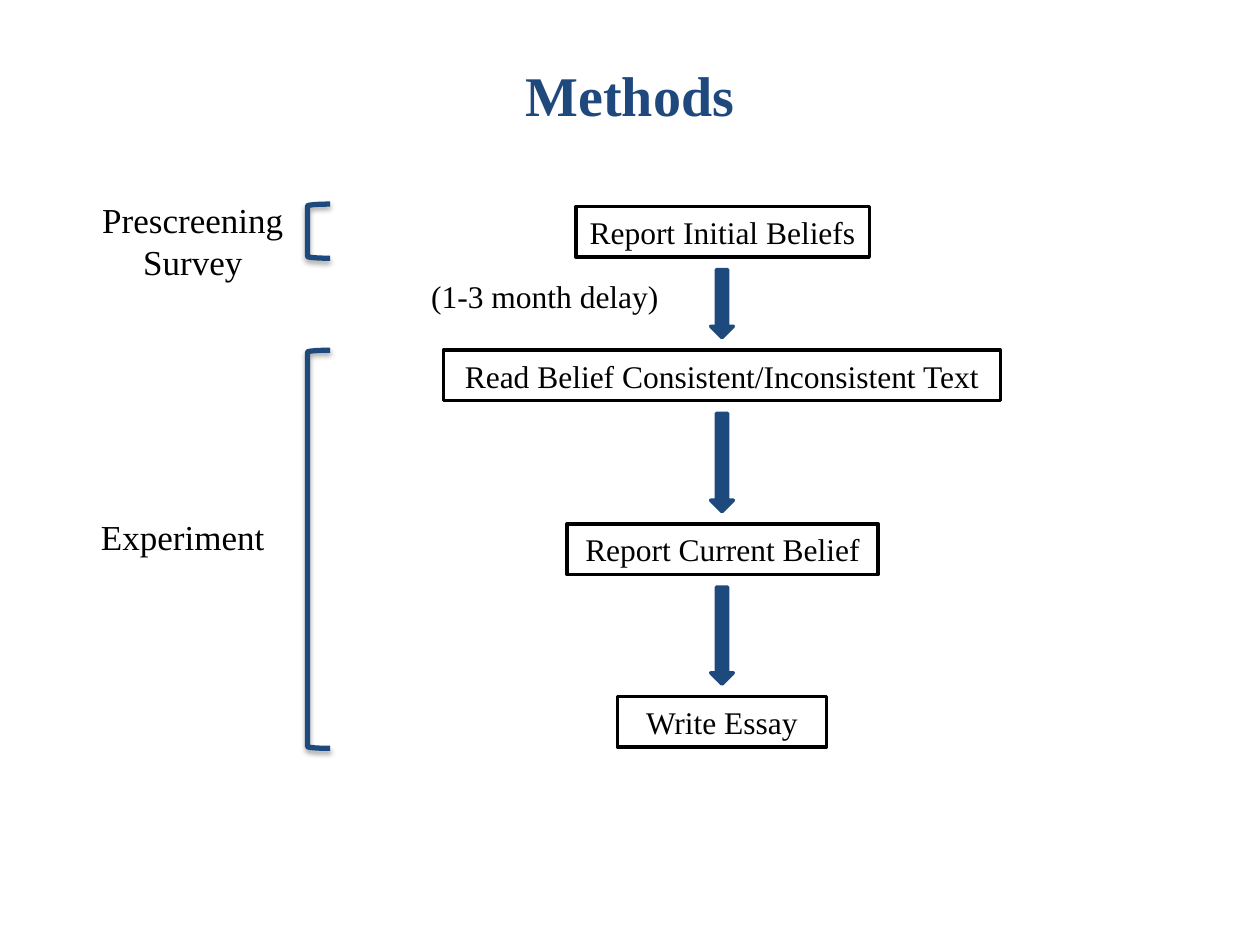
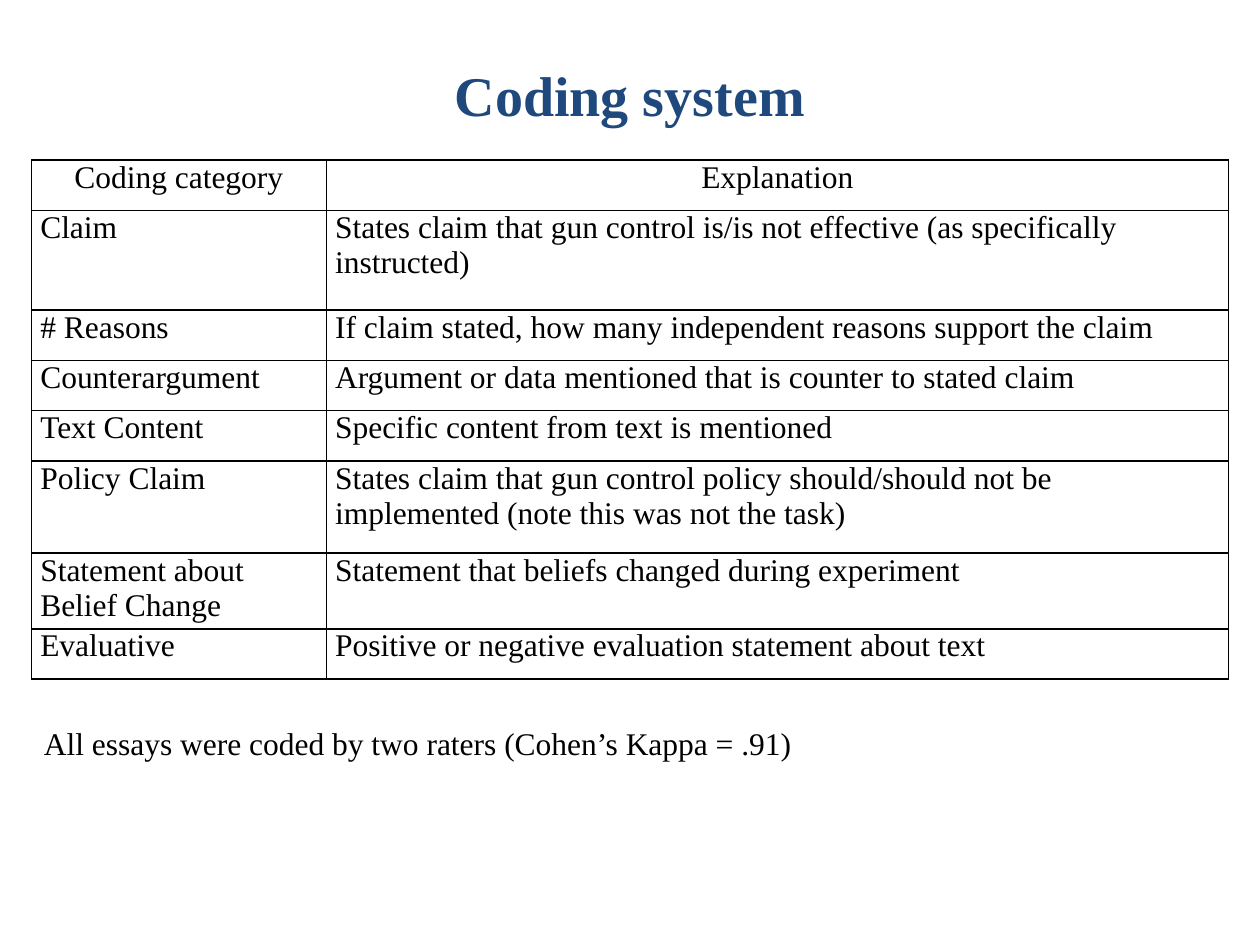
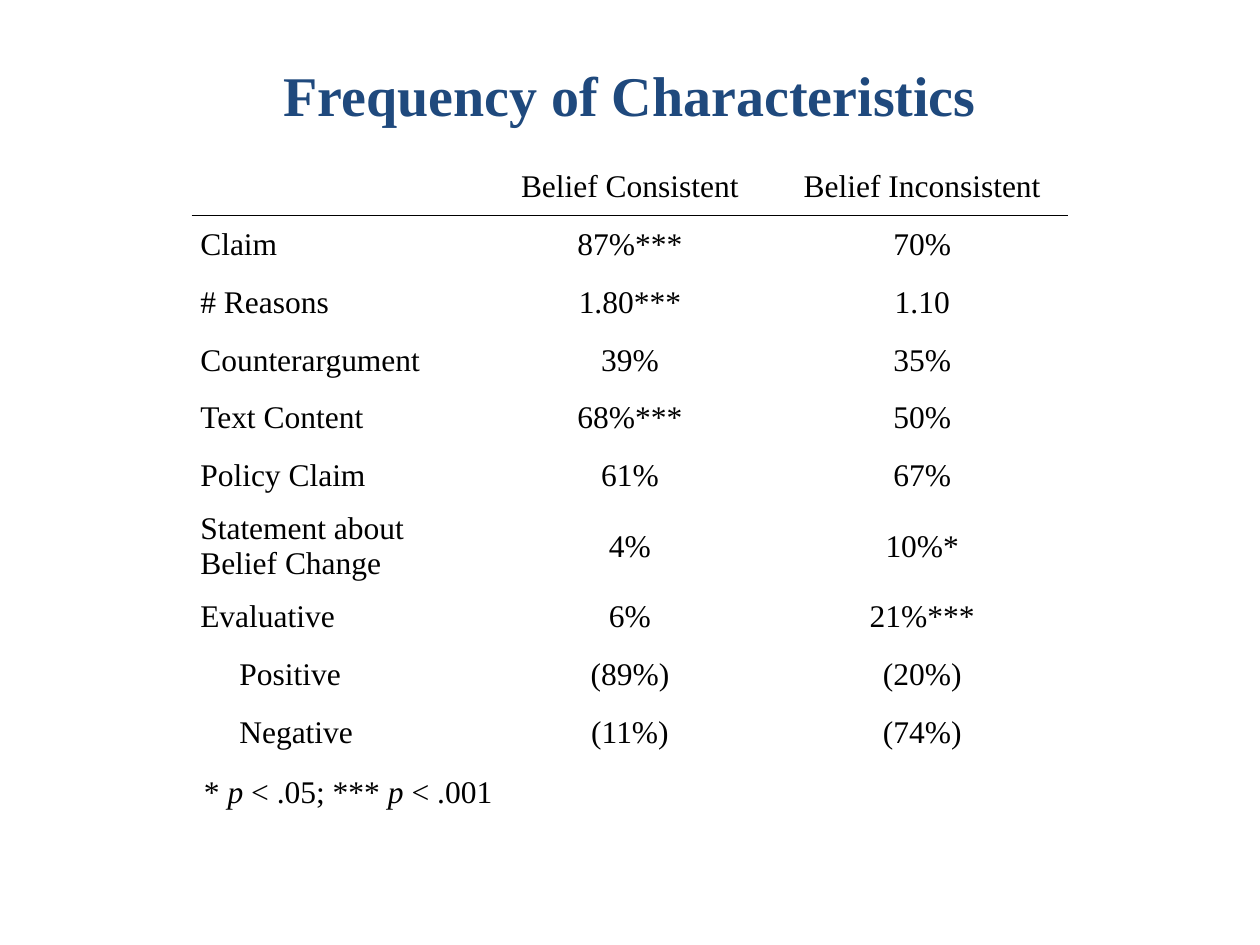
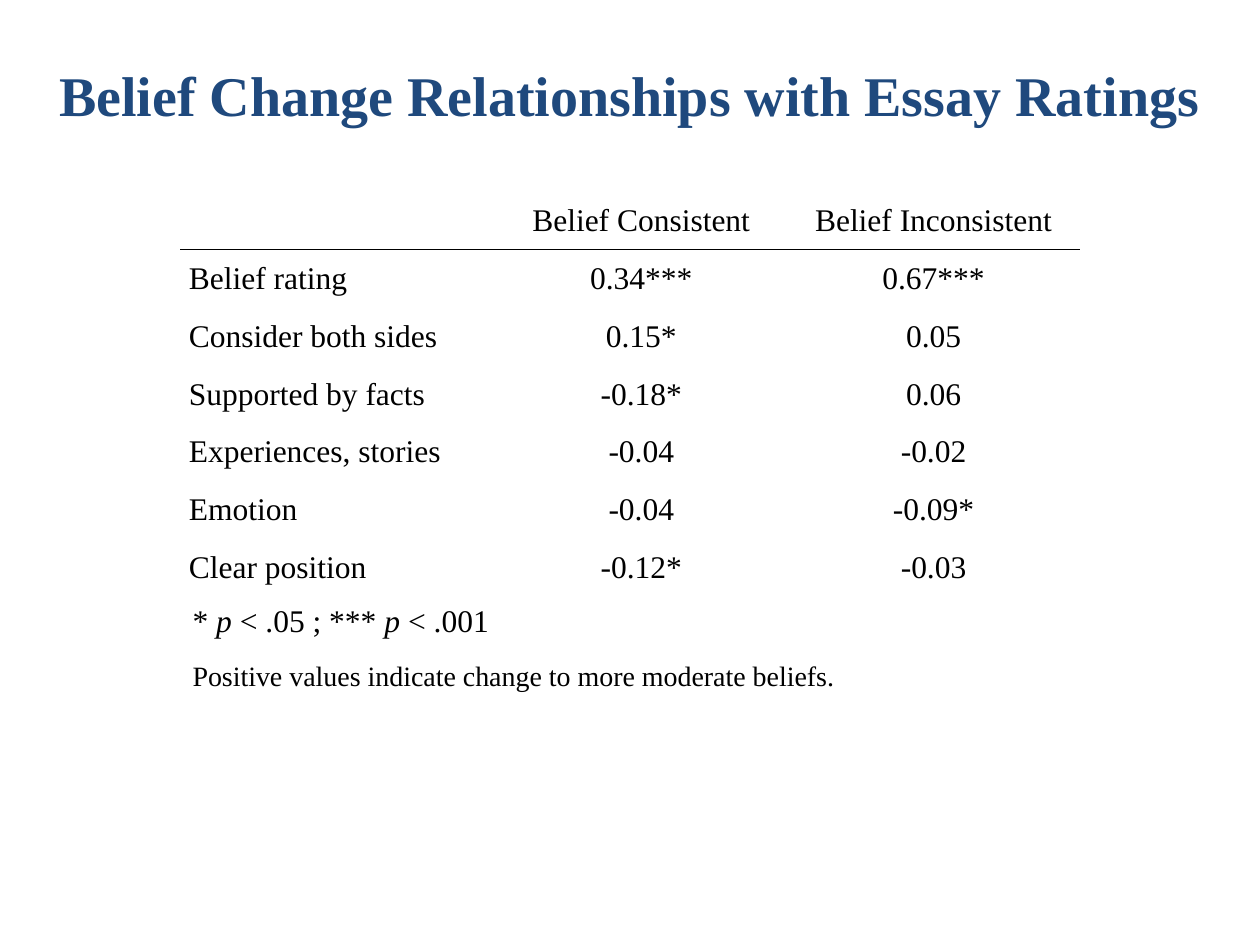
from dataclasses import dataclass

import lxml.etree
import pptx
import pptx.dml.color
import pptx.enum.shapes
import pptx.enum.text
import pptx.oxml
import pptx.oxml.ns
import pptx.presentation
import pptx.shapes.autoshape
import pptx.slide
import pptx.table
import pptx.text.text
import pptx.util

# Shared style
EMU_PER_PX = 9144  # 100 px to the inch
FONT = "Times New Roman"
TITLE_BLUE = pptx.dml.color.RGBColor(0x1F, 0x49, 0x7D)
SHAPE_BLUE = pptx.dml.color.RGBColor(0x1E, 0x49, 0x7D)
BLACK = pptx.dml.color.RGBColor(0, 0, 0)
NO_STYLE_TABLE = "{2D5ABB26-0587-4C30-8999-92F81FD0307C}"
TITLE_ONLY = 5
ALIGN = pptx.enum.text.PP_ALIGN
ANCHOR = pptx.enum.text.MSO_ANCHOR
AUTO_SIZE = pptx.enum.text.MSO_AUTO_SIZE
SHAPE = pptx.enum.shapes.MSO_SHAPE


def px(length: int) -> pptx.util.Emu:
    return pptx.util.Emu(length * EMU_PER_PX)


@dataclass(frozen=True)
class Box:
    left: int
    top: int
    width: int
    height: int

    def emu(self) -> tuple:
        return px(self.left), px(self.top), px(self.width), px(self.height)


@dataclass(frozen=True)
class Label:
    text: str
    box: Box
    size: int = 18
    align: ALIGN = ALIGN.LEFT
    wrap: bool = True
    space_before: float = 0


@dataclass(frozen=True)
class Step:
    text: str
    top: int
    width: int


@dataclass(frozen=True)
class TableLayout:
    left: int
    top: int
    columns: list[int]
    rows: list[int]


# Methods flow chart
TITLE_BOX = Box(25, 25, 950, 100)
FLOW_CENTER = 573
STEP_HEIGHT = 40
ARROW_WIDTH = 18
ARROW_GAP = 10
STEPS = [
    Step("Report Initial Beliefs", 164, 233),
    Step("Read Belief Consistent/Inconsistent Text", 278, 442),
    Step("Report Current Belief", 416, 247),
    Step("Write Essay", 553, 166),
]
PHASES = [
    Label("Prescreening Survey", Box(62, 153, 182, 77), 20, ALIGN.CENTER),
    Label("Experiment", Box(54, 404, 182, 44), 20, ALIGN.CENTER),
    Label("(1-3 month delay)", Box(304, 215, 257, 40), 18, ALIGN.CENTER),
]
BRACKETS = [Box(244, 162, 18, 43), Box(244, 278, 18, 316)]

# Table contents
CODING = [
    ("Coding category", "Explanation"),
    ("Claim", "States claim that gun control is/is not effective (as specifically instructed)"),
    ("# Reasons", "If claim stated, how many independent reasons support the claim"),
    ("Counterargument", "Argument or data mentioned that is counter to stated claim"),
    ("Text Content", "Specific content from text is mentioned"),
    ("Policy Claim", "States claim that gun control policy should/should not be "
                     "implemented (note this was not the task)"),
    ("Statement about Belief Change", "Statement that beliefs changed during experiment"),
    ("Evaluative", "Positive or negative evaluation statement about text"),
]
CONDITIONS = ("", "Belief Consistent", "Belief Inconsistent")
FREQUENCIES = [
    CONDITIONS,
    ("Claim", "87%***", "70%"),
    ("# Reasons", "1.80***", "1.10"),
    ("Counterargument", "39%", "35%"),
    ("Text Content", "68%***", "50%"),
    ("Policy Claim", "61%", "67%"),
    ("Statement about Belief Change", "4%", "10%*"),
    ("Evaluative", "6%", "21%***"),
    ("Positive", "(89%)", "(20%)"),
    ("Negative", "(11%)", "(74%)"),
]
SUBCATEGORIES = ("Positive", "Negative")
RELATIONSHIPS = [
    CONDITIONS,
    ("Belief rating", "0.34***", "0.67***"),
    ("Consider both sides", "0.15*", "0.05"),
    ("Supported by facts", "-0.18*", "0.06"),
    ("Experiences, stories", "-0.04", "-0.02"),
    ("Emotion", "-0.04", "-0.09*"),
    ("Clear position", "-0.12*", "-0.03"),
]
CELL_MARGIN = 7
SUBCATEGORY_INDENT = 31
RESULT_ROW = 46


# Text
def format_paragraph(paragraph: pptx.text.text._Paragraph, size: int, align: ALIGN,
                     color: pptx.dml.color.RGBColor = BLACK, bold: bool = False) -> None:
    paragraph.alignment = align
    for run in paragraph.runs:
        run.font.name = FONT
        run.font.size = pptx.util.Pt(size)
        run.font.bold = bold
        run.font.color.rgb = color


def add_titled_slide(presentation: pptx.presentation.Presentation, title: str) -> pptx.slide.Slide:
    slide = presentation.slides.add_slide(presentation.slide_layouts[TITLE_ONLY])
    shape = slide.shapes.title
    shape.left, shape.top, shape.width, shape.height = TITLE_BOX.emu()
    text_frame = shape.text_frame
    text_frame.text = title
    text_frame.auto_size = AUTO_SIZE.NONE
    text_frame.vertical_anchor = ANCHOR.MIDDLE
    format_paragraph(text_frame.paragraphs[0], 32, ALIGN.CENTER, TITLE_BLUE, bold=True)
    return slide


def add_label(slide: pptx.slide.Slide, label: Label) -> pptx.text.text._Paragraph:
    text_frame = slide.shapes.add_textbox(*label.box.emu()).text_frame
    text_frame.text = label.text
    text_frame.word_wrap = label.wrap
    text_frame.auto_size = AUTO_SIZE.SHAPE_TO_FIT_TEXT
    paragraph = text_frame.paragraphs[0]
    if label.space_before:
        paragraph.space_before = pptx.util.Pt(label.space_before)
    format_paragraph(paragraph, label.size, label.align)
    return paragraph


def add_significance_note(slide: pptx.slide.Slide, pieces: list[str], box: Box) -> None:
    """Write the pieces in one line, with the statistic p in italics."""
    paragraph = add_label(slide, Label("", box, wrap=False))
    for piece in pieces:
        run = paragraph.add_run()
        run.text = piece
        run.font.italic = piece == "p"
    format_paragraph(paragraph, 18, ALIGN.LEFT)


# Shapes
def add_outlined_shape(slide: pptx.slide.Slide, kind: SHAPE, box: Box,
                       color: pptx.dml.color.RGBColor, line_width: int) -> pptx.shapes.autoshape.Shape:
    shape = slide.shapes.add_shape(kind, *box.emu())
    shape.shadow.inherit = False
    shape.fill.background()
    shape.line.color.rgb = color
    shape.line.width = pptx.util.Pt(line_width)
    return shape


def add_bracket(slide: pptx.slide.Slide, box: Box) -> None:
    shape = add_outlined_shape(slide, SHAPE.LEFT_BRACKET, box, SHAPE_BLUE, 3)
    effects = shape._element.spPr.find(pptx.oxml.ns.qn("a:effectLst"))
    effects.append(pptx.oxml.parse_xml(
        f'<a:outerShdw {pptx.oxml.ns.nsdecls("a")} blurRad="40000" dist="23000" dir="5400000"'
        ' rotWithShape="0"><a:srgbClr val="000000"><a:alpha val="35000"/></a:srgbClr></a:outerShdw>'))


def add_step(slide: pptx.slide.Slide, step: Step) -> None:
    box = Box(FLOW_CENTER - step.width // 2, step.top, step.width, STEP_HEIGHT)
    shape = add_outlined_shape(slide, SHAPE.RECTANGLE, box, BLACK, 2)
    shape.text_frame.text = step.text
    shape.text_frame.word_wrap = True
    format_paragraph(shape.text_frame.paragraphs[0], 18, ALIGN.CENTER)


def add_step_arrow(slide: pptx.slide.Slide, upper: Step, lower: Step) -> None:
    top = upper.top + STEP_HEIGHT + ARROW_GAP
    box = Box(FLOW_CENTER - ARROW_WIDTH // 2, top, ARROW_WIDTH, lower.top - ARROW_GAP - top)
    shape = add_outlined_shape(slide, SHAPE.DOWN_ARROW, box, SHAPE_BLUE, 2)
    shape.fill.solid()
    shape.fill.fore_color.rgb = SHAPE_BLUE


# Tables
def set_borders(cell: pptx.table._Cell, drawn_sides: str) -> None:
    """Draw the sides named by the letters L, R, T and B, and clear the others."""
    properties = cell._tc.get_or_add_tcPr()
    for side in "LRTB":
        line = lxml.etree.SubElement(properties, pptx.oxml.ns.qn(f"a:ln{side}"), w="12700")
        if side in drawn_sides:
            fill = lxml.etree.SubElement(line, pptx.oxml.ns.qn("a:solidFill"))
            lxml.etree.SubElement(fill, pptx.oxml.ns.qn("a:srgbClr"), val=str(BLACK))
        else:
            lxml.etree.SubElement(line, pptx.oxml.ns.qn("a:noFill"))


def fill_cell(cell: pptx.table._Cell, text: str, align: ALIGN, borders: str) -> None:
    cell.text_frame.text = text
    format_paragraph(cell.text_frame.paragraphs[0], 18, align)
    indent = SUBCATEGORY_INDENT if text in SUBCATEGORIES else 0
    cell.margin_left = px(CELL_MARGIN + indent)
    cell.margin_right = px(CELL_MARGIN)
    cell.margin_top = cell.margin_bottom = 0
    set_borders(cell, borders)
    cell.fill.background()


def add_plain_table(slide: pptx.slide.Slide, layout: TableLayout, rows: list[tuple]) -> pptx.table.Table:
    box = Box(layout.left, layout.top, sum(layout.columns), sum(layout.rows))
    table = slide.shapes.add_table(len(rows), len(layout.columns), *box.emu()).table
    table.first_row = table.horz_banding = False
    table._tbl.tblPr.find(pptx.oxml.ns.qn("a:tableStyleId")).text = NO_STYLE_TABLE
    for column, width in zip(table.columns, layout.columns):
        column.width = px(width)
    for row, height in zip(table.rows, layout.rows):
        row.height = px(height)
    return table


def add_grid_table(slide: pptx.slide.Slide, layout: TableLayout, rows: list[tuple]) -> None:
    table = add_plain_table(slide, layout, rows)
    for row_index, row in enumerate(rows):
        align = ALIGN.CENTER if row_index == 0 else ALIGN.LEFT
        for column_index, text in enumerate(row):
            fill_cell(table.cell(row_index, column_index), text, align, "LRTB")


def add_result_table(slide: pptx.slide.Slide, layout: TableLayout, rows: list[tuple]) -> None:
    """Draw a table whose only rule lies under the header row."""
    table = add_plain_table(slide, layout, rows)
    rule_sides = {0: "B", 1: "T"}
    for row_index, row in enumerate(rows):
        for column_index, text in enumerate(row):
            cell = table.cell(row_index, column_index)
            align = ALIGN.LEFT if column_index == 0 else ALIGN.CENTER
            fill_cell(cell, text, align, rule_sides.get(row_index, ""))
            cell.vertical_anchor = ANCHOR.MIDDLE


# Slides
def build_methods(presentation: pptx.presentation.Presentation) -> None:
    slide = add_titled_slide(presentation, "Methods")
    for label in PHASES:
        add_label(slide, label)
    for box in BRACKETS:
        add_bracket(slide, box)
    for step in STEPS:
        add_step(slide, step)
    for upper, lower in zip(STEPS, STEPS[1:]):
        add_step_arrow(slide, upper, lower)


def build_coding_system(presentation: pptx.presentation.Presentation) -> None:
    slide = add_titled_slide(presentation, "Coding system")
    add_label(slide, Label("All essays were coded by two raters (Cohen’s Kappa = .91)",
                           Box(25, 570, 950, 40)))
    layout = TableLayout(25, 127, [234, 716], [40, 79, 40, 40, 40, 73, 60, 40])
    add_grid_table(slide, layout, CODING)


def build_frequencies(presentation: pptx.presentation.Presentation) -> None:
    slide = add_titled_slide(presentation, "Frequency of Characteristics")
    heights = [66 if row[0].startswith("Statement") else RESULT_ROW for row in FREQUENCIES]
    add_result_table(slide, TableLayout(152, 125, [232] * 3, heights), FREQUENCIES)
    add_significance_note(slide, ["* ", "p", " < .05; *** ", "p", " < .001"],
                          Box(152, 608, 251, 40))


def build_relationships(presentation: pptx.presentation.Presentation) -> None:
    slide = add_titled_slide(presentation, "Belief Change Relationships with Essay Ratings")
    heights = [RESULT_ROW] * len(RELATIONSHIPS)
    add_result_table(slide, TableLayout(143, 152, [250, 232, 232], heights), RELATIONSHIPS)
    add_significance_note(slide, ["* ", "p", " < .05 ; *** ", "p", " < .001"],
                          Box(143, 472, 258, 40))
    add_label(slide, Label("Positive values indicate change to more moderate beliefs.",
                           Box(143, 518, 577, 44), 16, space_before=3.2))


def main() -> None:
    presentation = pptx.Presentation()
    presentation.slide_width, presentation.slide_height = px(1000), px(750)
    build_methods(presentation)
    build_coding_system(presentation)
    build_frequencies(presentation)
    build_relationships(presentation)
    presentation.save("out.pptx")


if __name__ == "__main__":
    main()
